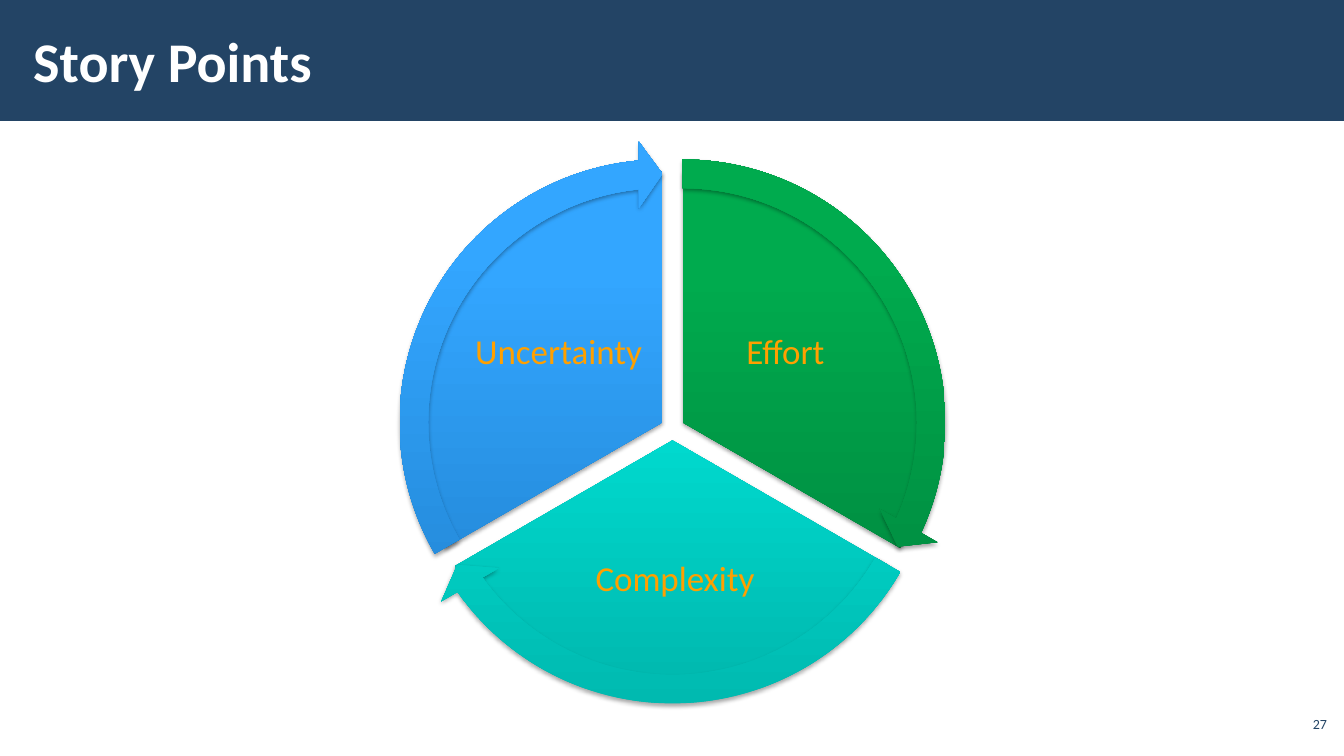
from lxml import etree
from pptx import Presentation
from pptx.dml.color import RGBColor
from pptx.enum import shapes, text
from pptx.oxml import ns
from pptx.util import Inches, Pt

COLORS = {
    "navy": "234465", "white": "FFFFFF", "amber": "FFA000", "shadow": "000000",
    "green_dark": "00833C", "green": "00AB4E",
    "teal_dark": "00B8AE", "teal": "00EEE2",
    "blue_dark": "1F81CD", "blue": "33A6FF",
}
PIE_SIZE = 4.98
ARROW_SIZE = 5.59

deck = Presentation()
deck.slide_width, deck.slide_height = Inches(13.33), Inches(7.5)
slide = deck.slides.add_slide(deck.slide_layouts[6])


def add_label(wording, box, size, color, align, anchor, inset=(0.03, 0.03), bold=False):
    frame = slide.shapes.add_textbox(*map(Inches, box)).text_frame
    frame.word_wrap = True
    frame.vertical_anchor = anchor
    frame.margin_left = frame.margin_right = Inches(inset[0])
    frame.margin_top = frame.margin_bottom = Inches(inset[1])
    line = frame.paragraphs[0]
    line.alignment = align
    run = line.add_run()
    run.text = wording
    run.font.name = "Calibri"
    run.font.size = Pt(size)
    run.font.bold = bold
    run.font.color.rgb = RGBColor.from_string(COLORS[color])
    return line


def add_sector(preset, left, top, size, adjustments, hue):
    sector = slide.shapes.add_shape(
        preset, Inches(left), Inches(top), Inches(size), Inches(size))
    for index, value in enumerate(adjustments):
        sector.adjustments[index] = value
    sector.fill.gradient()
    sector.fill.gradient_angle = 90
    stops = zip(sector.fill.gradient_stops, (0, 0.8), (hue + "_dark", hue))
    for stop, position, color in stops:
        stop.position = position
        stop.color.rgb = RGBColor.from_string(COLORS[color])
    sector.line.fill.background()
    sector.shadow.inherit = False
    effects = sector._element.spPr.find(ns.qn("a:effectLst"))
    shadow = etree.SubElement(
        effects, ns.qn("a:outerShdw"), blurRad=str(Pt(3.1)), dist=str(Pt(1.8)),
        dir="5400000", rotWithShape="0")
    shade = etree.SubElement(shadow, ns.qn("a:srgbClr"), val=COLORS["shadow"])
    etree.SubElement(shade, ns.qn("a:alpha"), val="35000")


header = slide.shapes.add_shape(
    shapes.MSO_SHAPE.RECTANGLE, 0, 0, deck.slide_width, Inches(1.2))
header.fill.solid()
header.fill.fore_color.rgb = RGBColor.from_string(COLORS["navy"])
header.line.fill.background()
header.shadow.inherit = False

add_label("27", (12.73, 7.12, 0.53, 0.19), 10, "navy",
          text.PP_ALIGN.RIGHT, text.MSO_ANCHOR.BOTTOM, (0.1, 0.05))
add_label("Story Points", (0.21, 0.11, 10.63, 0.97), 40, "white",
          text.PP_ALIGN.LEFT, text.MSO_ANCHOR.MIDDLE, (0.12, 0.04), bold=True)

factors = [
    ("Effort", "green", (6.77, 4.19), (162, 18), (14.73, 161.99), (6.9, 2.76, 1.78, 1.48)),
    ("Complexity", "teal", (6.67, 4.37), (18, 90), (86.72, 18), (5.36, 5.11, 2.67, 1.3)),
    ("Uncertainty", "blue", (6.57, 4.19), (90, 162), (158.73, 90), (4.65, 2.76, 1.78, 1.48)),
]

for name, hue, (x, y), angles, sweep, label_box in factors:
    add_sector(shapes.MSO_SHAPE.PIE, x - PIE_SIZE / 2, y - PIE_SIZE / 2,
               PIE_SIZE, angles, hue)
    label = add_label(name, label_box, 25, "amber",
                      text.PP_ALIGN.CENTER, text.MSO_ANCHOR.MIDDLE)
    label.line_spacing = 0.9

for name, hue, (x, y), angles, (head, tail), label_box in factors:
    add_sector(shapes.MSO_SHAPE.CIRCULAR_ARROW, x - ARROW_SIZE / 2, y - ARROW_SIZE / 2,
               ARROW_SIZE, (0.051, 3.28, head, tail, 0.059), hue)

deck.save("out.pptx")
